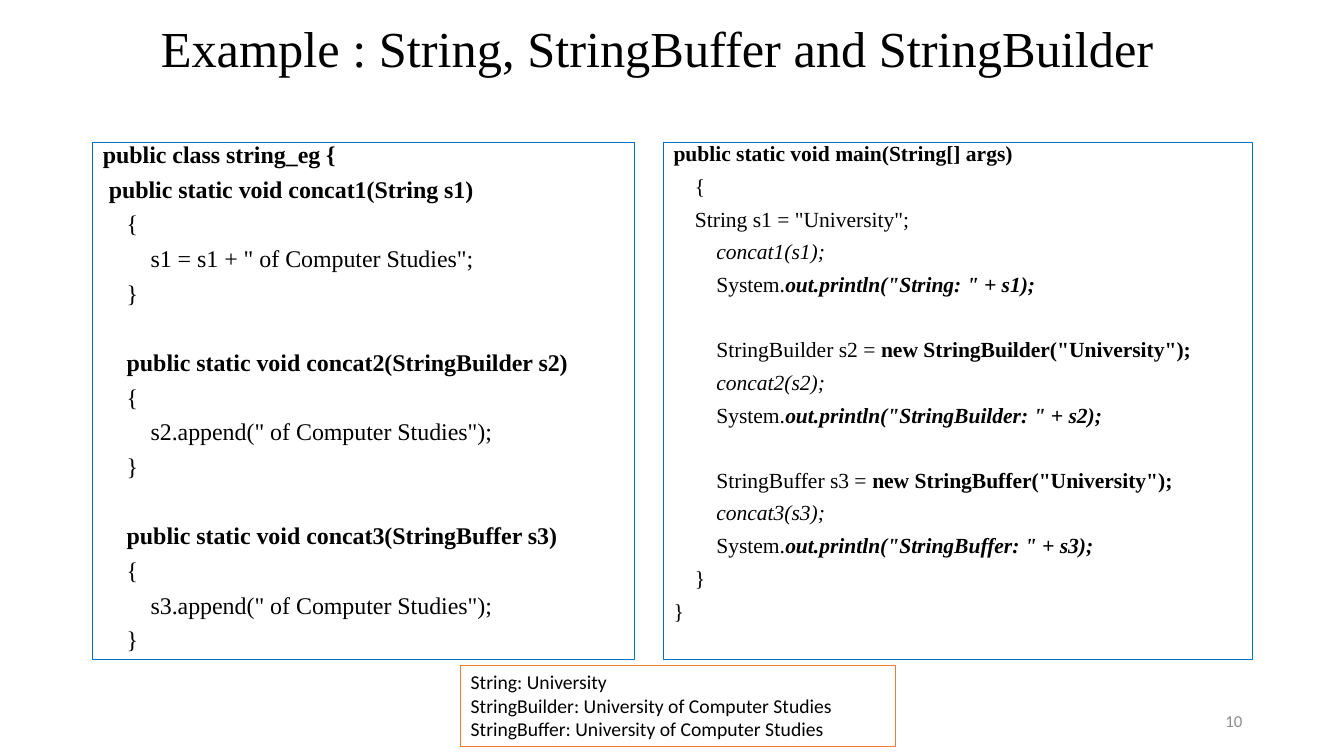
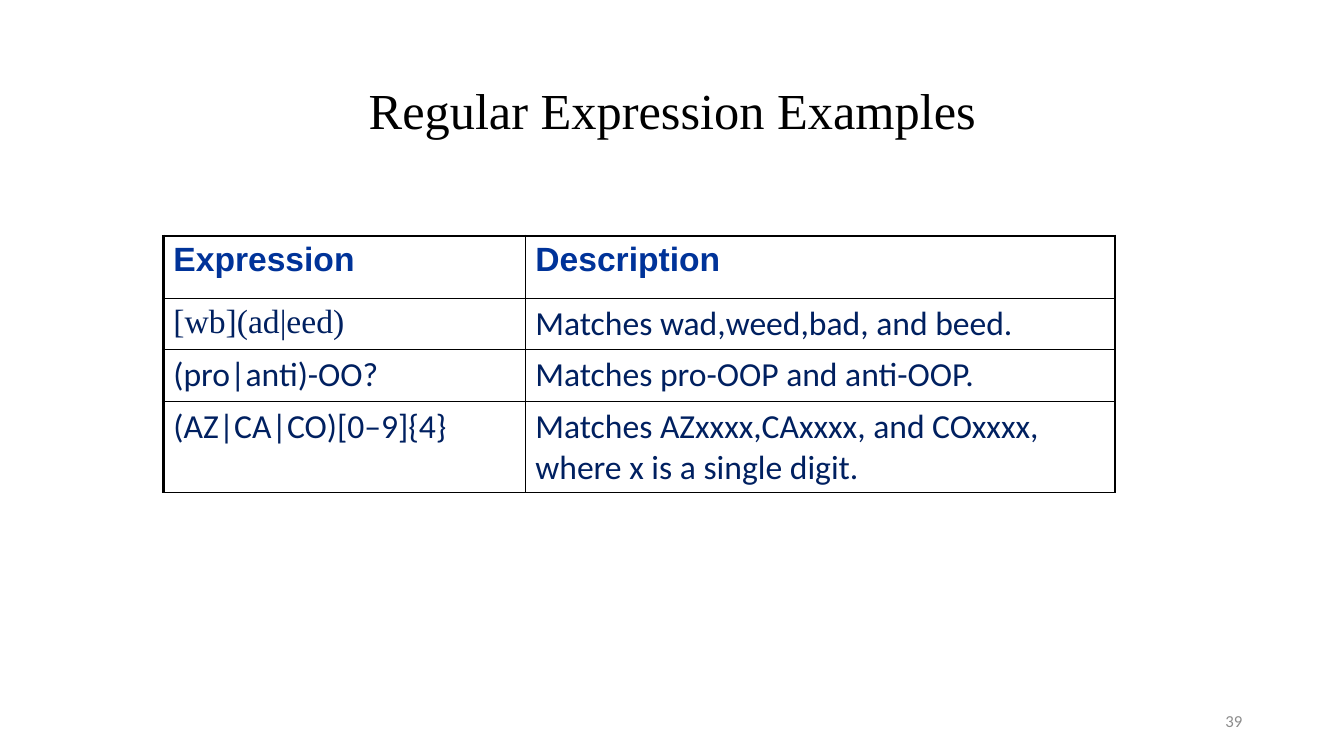
import pptx
import pptx.util
import pptx.dml.color
import pptx.enum.text
import pptx.oxml
import pptx.oxml.ns

Inches, Pt = pptx.util.Inches, pptx.util.Pt
RGBColor = pptx.dml.color.RGBColor
ALIGN = pptx.enum.text.PP_ALIGN
ANCHOR = pptx.enum.text.MSO_ANCHOR

# Shared style
BLACK = RGBColor(0, 0, 0)
GRAY = RGBColor(0x8C, 0x8C, 0x8C)
BLUE = RGBColor(0x00, 0x70, 0xC0)
ORANGE = RGBColor(0xED, 0x7D, 0x31)
HEAD_BLUE = RGBColor(0x00, 0x33, 0x99)
NAVY = RGBColor(0x00, 0x20, 0x60)
SERIF, SANS, HEAD_FONT = "Times New Roman", "Calibri", "Arial"
CODE_SPACING, CODE_BEFORE = 0.7, 10.5
THIN, THICK = 1, 2.25

# Content: a line is a list of (text, style) runs, None is a gap in the code
METHODS = [
    [("public class string_eg {", "b")],
    [(" public static void concat1(String s1)", "b")],
    [("    {", "")],
    [("        s1 = s1 + \" of Computer Studies\";", "")],
    [("    }", "")],
    None,
    [("    public static void concat2(StringBuilder s2)", "b")],
    [("    {", "")],
    [("        s2.append(\" of Computer Studies\");", "")],
    [("    }", "")],
    None,
    [("    public static void concat3(StringBuffer s3)", "b")],
    [("    {", "")],
    [("        s3.append(\" of Computer Studies\");", "")],
    [("    }", "")],
]
MAIN = [
    [("public static void main(String[] args)", "b")],
    [("    {", "")],
    [("    String s1 = \"University\";", "")],
    [("        concat1(s1);", "i")],
    [("        System.", ""), ("out.println(\"String: \" + s1);", "bi")],
    None,
    [("        StringBuilder s2 = ", ""),
     ("new StringBuilder(\"University\");", "b")],
    [("        concat2(s2);", "i")],
    [("        System.", ""), ("out.println(\"StringBuilder: \" + s2);", "bi")],
    None,
    [("        StringBuffer s3 = ", ""),
     ("new StringBuffer(\"University\");", "b")],
    [("        concat3(s3);", "i")],
    [("        System.", ""), ("out.println(\"StringBuffer: \" + s3);", "bi")],
    [("    }", "")],
    [("}", "")],
]
# Placeholder index, left, width, text size, lines
CODE_PANELS = [(1, 0.92, 5.37, 17.1, METHODS), (2, 6.58, 5.84, 15.4, MAIN)]
OUTPUT = [
    "String: University",
    "StringBuilder: University of Computer Studies",
    "StringBuffer: University of Computer Studies",
]
EXPRESSIONS = [
    ("Expression", "Description"),
    ("[wb](ad|eed)", "Matches wad,weed,bad, and beed."),
    ("(pro|anti)-OO?", "Matches pro-OOP and anti-OOP."),
    ("(AZ|CA|CO)[0–9]{4}",
     "Matches AZxxxx,CAxxxx, and COxxxx, where x is a single digit."),
]
COL_WIDTHS = [3.59, 5.85]
ROW_HEIGHTS = [0.62, 0.51, 0.51, 0.91]


def write(tf, lines, size, font=SANS, color=BLACK, align=ALIGN.LEFT,
          bold=False, spacing=1.0, before=0):
    """Fill a text frame with lines, each a string or a list of runs."""
    tf.word_wrap = True
    gap = 0
    p = None
    for line in lines:
        if line is None:
            gap = before + spacing * 1.15 * size
            continue
        first = p is None
        p = tf.paragraphs[0] if first else tf.add_paragraph()
        pPr = p._p.get_or_add_pPr()
        pPr.set("marL", "0")
        pPr.set("indent", "0")
        pptx.oxml.ns.qn("a:buNone")
        pPr.append(pptx.oxml.parse_xml(
            '<a:buNone %s/>' % pptx.oxml.ns.nsdecls("a")))
        p.alignment = align
        p.line_spacing = spacing
        p.space_before = Pt(0 if first else round(before + gap, 1))
        p.space_after = Pt(0)
        gap = 0
        for text, style in [(line, "")] if isinstance(line, str) else line:
            r = p.add_run()
            r.text = text
            r.font.name, r.font.size = font, Pt(size)
            r.font.color.rgb = color
            r.font.bold = bold or "b" in style
            r.font.italic = "i" in style


def place(sp, left, top, width, height):
    sp.left, sp.top = Inches(left), Inches(top)
    sp.width, sp.height = Inches(width), Inches(height)
    sp.text_frame.auto_size = pptx.enum.text.MSO_AUTO_SIZE.NONE


def outline(sp, color):
    sp.line.color.rgb = color
    sp.line.width = Pt(0.75)


def add_textbox(s, left, top, width, height):
    return s.shapes.add_textbox(*map(Inches, (left, top, width, height)))


def add_slide(prs, layout, title, title_box, number):
    """Add a slide with its title and slide number."""
    s = prs.slides.add_slide(prs.slide_layouts[layout])
    place(s.shapes.title, *title_box)
    tf = s.shapes.title.text_frame
    tf.vertical_anchor = ANCHOR.MIDDLE
    write(tf, [title], 36, font=SERIF, align=ALIGN.CENTER, spacing=0.9)
    tf = add_textbox(s, 9.42, 6.95, 3, 0.4).text_frame
    tf.vertical_anchor = ANCHOR.MIDDLE
    write(tf, [number], 12, color=GRAY, align=ALIGN.RIGHT)
    return s


def set_borders(cell, **widths):
    """Draw black cell borders; widths in points by side L, R, T, B."""
    tcPr = cell._tc.get_or_add_tcPr()
    for i, side in enumerate("LRTB"):
        tcPr.insert(i, pptx.oxml.parse_xml(
            '<a:ln%s %s w="%d"><a:solidFill><a:srgbClr val="%s"/>'
            '</a:solidFill></a:ln%s>' % (
                side, pptx.oxml.ns.nsdecls("a"), Pt(widths[side]),
                BLACK, side)))


def add_expression_table(s):
    rows, cols = len(ROW_HEIGHTS), len(COL_WIDTHS)
    table = s.shapes.add_table(
        rows, cols, Inches(1.62), Inches(2.34),
        Inches(sum(COL_WIDTHS)), Inches(sum(ROW_HEIGHTS))).table
    table.first_row = table.horz_banding = False
    for col, width in zip(table.columns, COL_WIDTHS):
        col.width = Inches(width)
    for i, (texts, height) in enumerate(zip(EXPRESSIONS, ROW_HEIGHTS)):
        table.rows[i].height = Inches(height)
        for j, text in enumerate(texts):
            cell = table.cell(i, j)
            cell.fill.background()
            head = i == 0
            font = HEAD_FONT if head else SERIF if (i, j) == (1, 0) else SANS
            write(cell.text_frame, [text], 24, font=font, bold=head,
                  color=HEAD_BLUE if head else NAVY)
            set_borders(cell, L=THICK if j == 0 else THIN,
                        R=THICK if j == cols - 1 else THIN,
                        T=THICK if head else THIN, B=THIN)


def main():
    prs = pptx.Presentation()
    prs.slide_width, prs.slide_height = Inches(13.33), Inches(7.5)

    # String classes: two code panels and their output
    s = add_slide(prs, 3, "Example : String, StringBuffer and StringBuilder",
                  (0.77, 0, 11.5, 1.01), "10")
    for idx, left, width, size, lines in CODE_PANELS:
        sp = s.placeholders[idx]
        place(sp, left, 1.41, width, 5.13)
        outline(sp, BLUE)
        write(sp.text_frame, lines, size, font=SERIF,
              spacing=CODE_SPACING, before=CODE_BEFORE)
    sp = add_textbox(s, 4.57, 6.6, 4.31, 0.81)
    outline(sp, ORANGE)
    write(sp.text_frame, OUTPUT, 14)

    # Regular expressions: table
    s = add_slide(prs, 5, "Regular Expression Examples",
                  (0.92, 0.4, 11.5, 1.45), "39")
    add_expression_table(s)

    prs.save("out.pptx")


if __name__ == "__main__":
    main()
